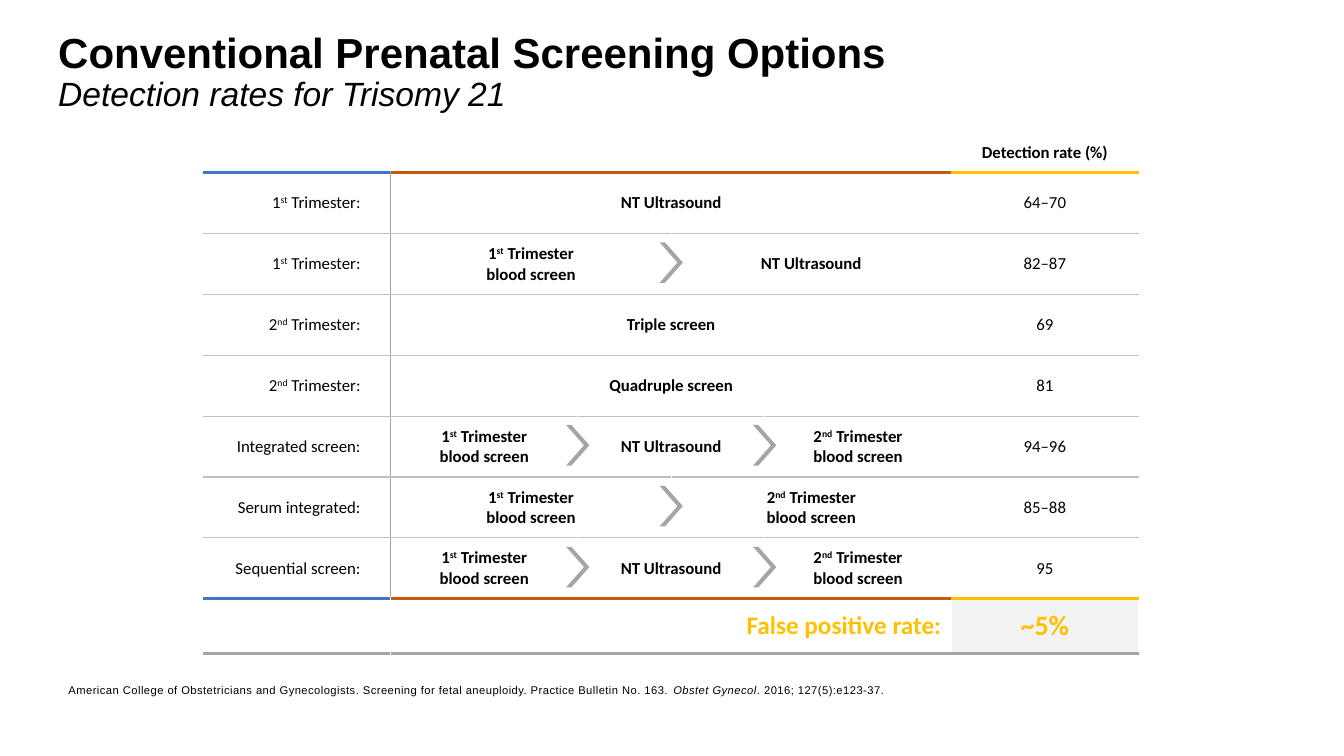
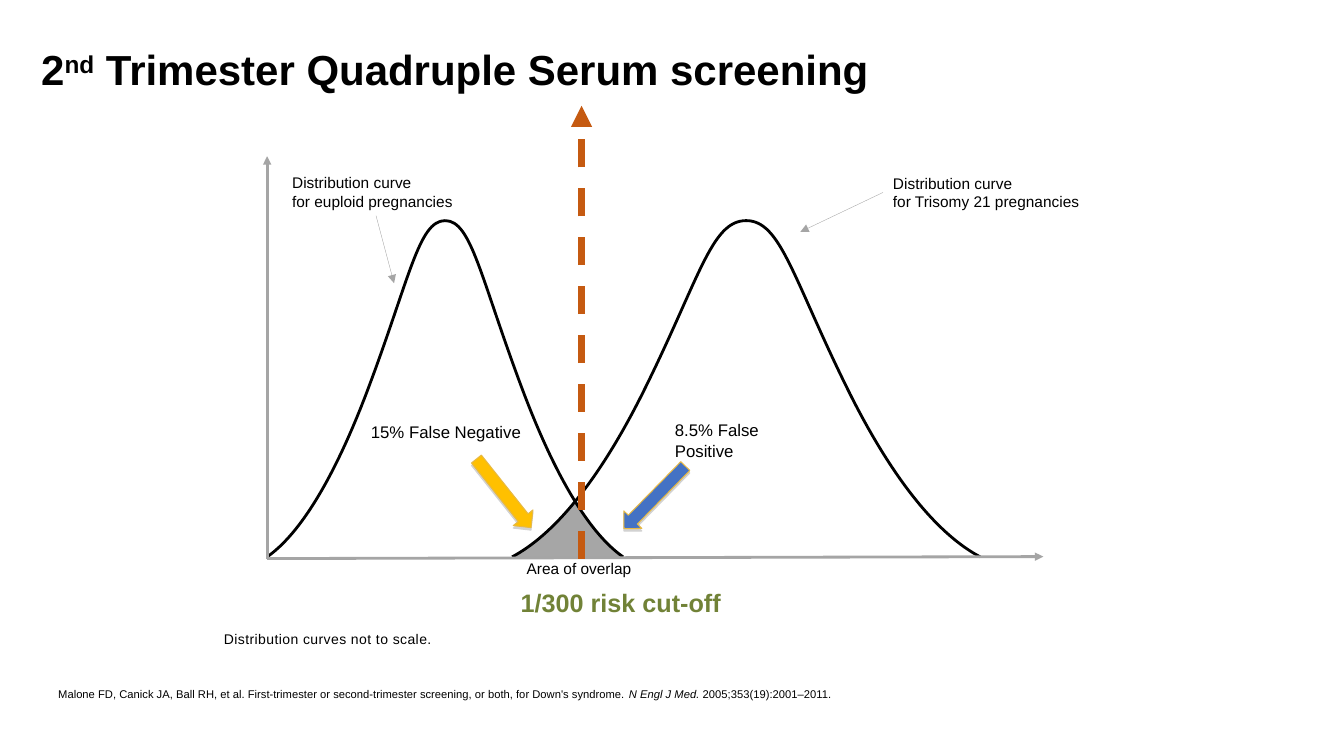
import lxml.etree
import pptx
import pptx.dml.color
import pptx.enum.dml
import pptx.enum.shapes
import pptx.enum.text
import pptx.oxml.ns
import pptx.util

Pt = pptx.util.Pt
RGBColor = pptx.dml.color.RGBColor
Align = pptx.enum.text.PP_ALIGN
Anchor = pptx.enum.text.MSO_ANCHOR
Shape = pptx.enum.shapes.MSO_SHAPE
qn = pptx.oxml.ns.qn

BLACK = RGBColor(0x00, 0x00, 0x00)
WHITE = RGBColor(0xFF, 0xFF, 0xFF)
GRAY = RGBColor(0xA5, 0xA5, 0xA5)
RULE_GRAY = RGBColor(0xBF, 0xBF, 0xBF)
PALE_GRAY = RGBColor(0xF2, 0xF2, 0xF2)
OVERLAP_GRAY = RGBColor(0xA6, 0xA6, 0xA6)
BLUE = RGBColor(0x44, 0x72, 0xC4)
ORANGE = RGBColor(0xC5, 0x5A, 0x11)
GOLD = RGBColor(0xFF, 0xC0, 0x00)
ARROW_EDGE = RGBColor(0xE7, 0xB9, 0x44)
OLIVE = RGBColor(0x71, 0x82, 0x37)

TITLE = dict(size=30, bold=True, anchor=Anchor.MIDDLE, line_spacing=0.9)
NOTE = dict(anchor=Anchor.BOTTOM, space_after=3, tracking=0.3)


def write_text(frame, text, size, font="Arial", color=BLACK, bold=False,
               align=Align.LEFT, line_spacing=None, space_after=None, tracking=0):
    """Write one paragraph with line breaks; ^x^ is superscript and *x* is italic."""
    paragraph = frame.paragraphs[0]
    paragraph.alignment = align
    if line_spacing:
        paragraph.line_spacing = line_spacing
    if space_after:
        paragraph.space_after = Pt(space_after)
    paragraph.font.name = font
    paragraph.font.size = Pt(size)
    paragraph.font.bold = bold
    paragraph.font.color.rgb = color
    for number, line in enumerate(text.split("\n")):
        if number:
            paragraph.add_line_break()
        mark = "*" if "*" in line else "^"
        for index, part in enumerate(line.split(mark)):
            if not part:
                continue
            run = paragraph.add_run()
            run.text = part
            if tracking:
                run._r.get_or_add_rPr().set("spc", str(round(tracking * 100)))
            if index % 2 and mark == "*":
                run.font.italic = True
            elif index % 2:
                run._r.get_or_add_rPr().set("baseline", "30000")


def add_text(slide, box, text, size, anchor=Anchor.TOP, wrap=True, **style):
    frame = slide.shapes.add_textbox(*map(Pt, box)).text_frame
    frame.word_wrap = wrap
    frame.vertical_anchor = anchor
    write_text(frame, text, size, **style)


presentation = pptx.Presentation()
presentation.slide_width = Pt(960)
presentation.slide_height = Pt(540)
blank = presentation.slide_layouts[6]

# Slide 1: screening options
slide = presentation.slides.add_slide(blank)
add_text(slide, (34.5, 14.5, 890, 75.5),
         "Conventional Prenatal Screening Options\n*Detection rates for Trisomy 21*", **TITLE)
subtitle = slide.shapes[0].text_frame.paragraphs[0].runs[-1]
subtitle.font.size = Pt(24)
subtitle.font.bold = False

FIRST, SECOND = "1^st^ Trimester:", "2^nd^ Trimester:"
FIRST_BLOOD = "1^st^ Trimester\nblood screen"
SECOND_BLOOD = "2^nd^ Trimester\nblood screen"
ULTRASOUND = "NT Ultrasound"
screenings = [
    (FIRST, [ULTRASOUND], "64–70"),
    (FIRST, [FIRST_BLOOD, ULTRASOUND], "82–87"),
    (SECOND, ["Triple screen"], "69"),
    (SECOND, ["Quadruple screen"], "81"),
    ("Integrated screen:", [FIRST_BLOOD, ULTRASOUND, SECOND_BLOOD], "94–96"),
    ("Serum integrated:", [FIRST_BLOOD, SECOND_BLOOD], "85–88"),
    ("Sequential screen:", [FIRST_BLOOD, ULTRASOUND, SECOND_BLOOD], "95"),
]
step_spans = {1: [(1, 4)], 2: [(1, 2), (3, 4)], 3: [(1, 1), (2, 3), (4, 4)]}

table_left, table_top = 145.7, 94.3
column_width, header_height, row_height, total_height = 133.5, 29, 43.5, 39
column_widths = [column_width, column_width, column_width / 2, column_width / 2,
                 column_width, column_width]
row_heights = [header_height] + [row_height] * len(screenings) + [total_height]
last_row = len(row_heights) - 1

table = slide.shapes.add_table(
    len(row_heights), len(column_widths), Pt(table_left), Pt(table_top),
    Pt(sum(column_widths)), Pt(sum(row_heights))).table
table.first_row = False
table.horz_banding = False
for column, width in zip(table.columns, column_widths):
    column.width = Pt(width)
for row, height in zip(table.rows, row_heights):
    row.height = Pt(height)

# Rules under each row, the first entry being the top edge
accents = [BLUE] + [ORANGE] * 4 + [GOLD]
rules = ([[(WHITE, 1)] * 6, [(color, 2.25) for color in accents]]
         + [[(RULE_GRAY, 1)] * 6] * (len(screenings) - 1)
         + [[(color, 2.25) for color in accents], [(GRAY, 2.25)] * 6])
for row in range(len(row_heights)):
    for column in range(len(column_widths)):
        cell = table.cell(row, column)
        cell.vertical_anchor = Anchor.MIDDLE
        cell.margin_left = cell.margin_right = Pt(7.2)
        is_empty_header = row == 0 and column < 5
        cell.margin_top = cell.margin_bottom = Pt(0 if is_empty_header else 7.2)
        body = 0 < row < last_row
        borders = {
            "a:lnL": (GRAY if body and column == 1 else WHITE, 1),
            "a:lnR": (GRAY if body and column == 0 else WHITE, 1),
            "a:lnT": rules[row][column],
            "a:lnB": rules[row + 1][column],
        }
        properties = cell._tc.get_or_add_tcPr()
        for tag, (color, width) in borders.items():
            line = lxml.etree.SubElement(properties, qn(tag), w=str(Pt(width)))
            fill = lxml.etree.SubElement(line, qn("a:solidFill"))
            lxml.etree.SubElement(fill, qn("a:srgbClr"), val=str(color))
        cell.fill.background()

CELL = dict(font="Calibri", align=Align.CENTER)
write_text(table.cell(0, 5).text_frame, "Detection rate (%)", 12, bold=True, **CELL)
for row, (label, steps, rate) in enumerate(screenings, start=1):
    table.cell(row, 0).margin_right = Pt(21.6)
    write_text(table.cell(row, 0).text_frame, label, 12, font="Calibri", align=Align.RIGHT)
    write_text(table.cell(row, 5).text_frame, rate, 12, **CELL)
    for step, (first, last) in zip(steps, step_spans[len(steps)]):
        cell = table.cell(row, first)
        if last > first:
            cell.merge(table.cell(row, last))
        write_text(cell.text_frame, step, 12, bold=True, **CELL)
    for boundary in range(1, len(steps)):
        center_x = table_left + column_width * (1 + 3 * boundary / len(steps))
        center_y = table_top + header_height + row_height * (row - 0.5) - 1
        chevron = slide.shapes.add_shape(
            Shape.CHEVRON, Pt(center_x - 8.3), Pt(center_y - 14.5), Pt(16.6), Pt(29))
        chevron.adjustments[0] = 0.77
        chevron.shadow.inherit = False
        chevron.fill.solid()
        chevron.fill.fore_color.rgb = GRAY
        chevron.line.fill.background()

false_positive = table.cell(last_row, 1)
false_positive.merge(table.cell(last_row, 4))
write_text(false_positive.text_frame, "False positive rate:", 18, font="Calibri",
           color=GOLD, bold=True, align=Align.RIGHT)
total = table.cell(last_row, 5)
total.fill.solid()
total.fill.fore_color.rgb = PALE_GRAY
write_text(total.text_frame, "~5%", 20, color=GOLD, bold=True, **CELL)

add_text(slide, (41.8, 484.2, 667.5, 17.3),
         "American College of Obstetricians and Gynecologists. Screening for fetal aneuploidy. "
         "Practice Bulletin No. 163. *Obstet Gynecol*. 2016; 127(5):e123-37.", 8, **NOTE)

# Slide 2: distribution curves
slide = presentation.slides.add_slide(blank)
add_text(slide, (22.3, 13.7, 890, 75.5), "2^nd^ Trimester Quadruple Serum screening", **TITLE)

# Control points of cubic curves; half a bell runs from foot to peak, in percent
half_bell = [(0, 0), (10.7, 4), (31, 14.4), (55.5, 48.3), (80.1, 82.6), (85, 100), (100, 100)]
baseline, bell_height = 397.8, 240.2
overlap = [(365.8, baseline), (395.3, 378), (393.1, 376.6), (411.1, 359.3),
           (422.6, 373), (422.6, 381.6), (445.7, baseline)]
outlines = [overlap]
for foot, peak in ((190.8, 318), (445.1, 318), (365.8, 533), (700.2, 533)):
    outlines.append([(foot + (peak - foot) * x / 100, baseline - bell_height * y / 100)
                     for x, y in half_bell])

for outline in outlines:
    is_overlap = outline is overlap
    points = [(Pt(x), Pt(y)) for x, y in outline]
    builder = slide.shapes.build_freeform(*points[0])
    builder.add_line_segments(points[1:], close=is_overlap)
    shape = builder.convert_to_shape()
    # Turn every three straight segments into one cubic curve
    for index, segment in enumerate(list(shape._element.iter(qn("a:lnTo")))):
        if index % 3 == 0:
            curve = segment.makeelement(qn("a:cubicBezTo"))
            segment.addprevious(curve)
        curve.append(segment[0])
        segment.getparent().remove(segment)
    shape.shadow.inherit = False
    if is_overlap:
        shape.fill.patterned()
        shape.fill.pattern = pptx.enum.dml.MSO_PATTERN.DARK_VERTICAL
        shape.fill.fore_color.rgb = OVERLAP_GRAY
        shape.fill.back_color.rgb = WHITE
        shape.line.fill.background()
    else:
        shape.fill.background()
        shape.line.color.rgb = BLACK
        shape.line.width = Pt(2)

arrow_lines = [
    ((190.8, 399), (190.8, 111.6), GRAY, 2, None),
    ((190.8, 399), (745.2, 397.6), GRAY, 2, None),
    ((415.4, 399), (415.4, 75.6), ORANGE, 5, pptx.enum.dml.MSO_LINE.DASH),
    ((268.6, 154), (281.5, 202.3), GRAY, 0.25, None),
    ((630.7, 137.5), (571.7, 165.6), GRAY, 0.25, None),
]
for start, end, color, width, dash in arrow_lines:
    connector = slide.shapes.add_connector(
        pptx.enum.shapes.MSO_CONNECTOR.STRAIGHT, *map(Pt, start + end))
    connector.line.color.rgb = color
    connector.line.width = Pt(width)
    if dash:
        connector.line.dash_style = dash
    lxml.etree.SubElement(connector.line._get_or_add_ln(), qn("a:tailEnd"), type="triangle")
    lxml.etree.SubElement(connector._element.spPr, qn("a:effectLst"))

block_arrows = [((436.3, 346.3), 134.4, BLUE), ((328.5, 343.4), 51.5, GOLD)]
for (left, top), rotation, color in block_arrows:
    arrow = slide.shapes.add_shape(Shape.RIGHT_ARROW, Pt(left), Pt(top), Pt(62.6), Pt(18))
    arrow.rotation = rotation
    arrow.fill.solid()
    arrow.fill.fore_color.rgb = color
    arrow.line.color.rgb = ARROW_EDGE
    arrow.line.width = Pt(0.75)
    effects = lxml.etree.SubElement(arrow._element.spPr, qn("a:effectLst"))
    shadow = lxml.etree.SubElement(effects, qn("a:outerShdw"), dist=str(Pt(1.8)),
                                   dir="5400000", rotWithShape="0")
    shade = lxml.etree.SubElement(shadow, qn("a:srgbClr"), val="808080")
    lxml.etree.SubElement(shade, qn("a:alpha"), val="35000")

add_text(slide, (368.6, 396, 90, 21), "Area of overlap", 11, wrap=False, align=Align.CENTER)
add_text(slide, (201.6, 120.2, 134, 34), "Distribution curve\nfor euploid pregnancies", 11)
add_text(slide, (630.8, 120.8, 177, 34), "Distribution curve\nfor Trisomy 21 pregnancies", 11)
add_text(slide, (257.8, 297.4, 126, 21.6), "15% False Negative", 12, wrap=False)
add_text(slide, (475, 296.6, 108, 36), "8.5% False Positive", 12)
add_text(slide, (364.8, 416.2, 173.5, 29), "1/300 risk cut-off", 18, color=OLIVE, bold=True)
add_text(slide, (152.9, 448.6, 667.5, 17.3), "Distribution curves not to scale.", 10, **NOTE)
add_text(slide, (34.5, 487.4, 643.7, 17.3),
         "Malone FD, Canick JA, Ball RH, et al. First-trimester or second-trimester screening, "
         "or both, for Down's syndrome. *N Engl J Med. *2005;353(19):2001–2011.", 8)

presentation.save("out.pptx")
